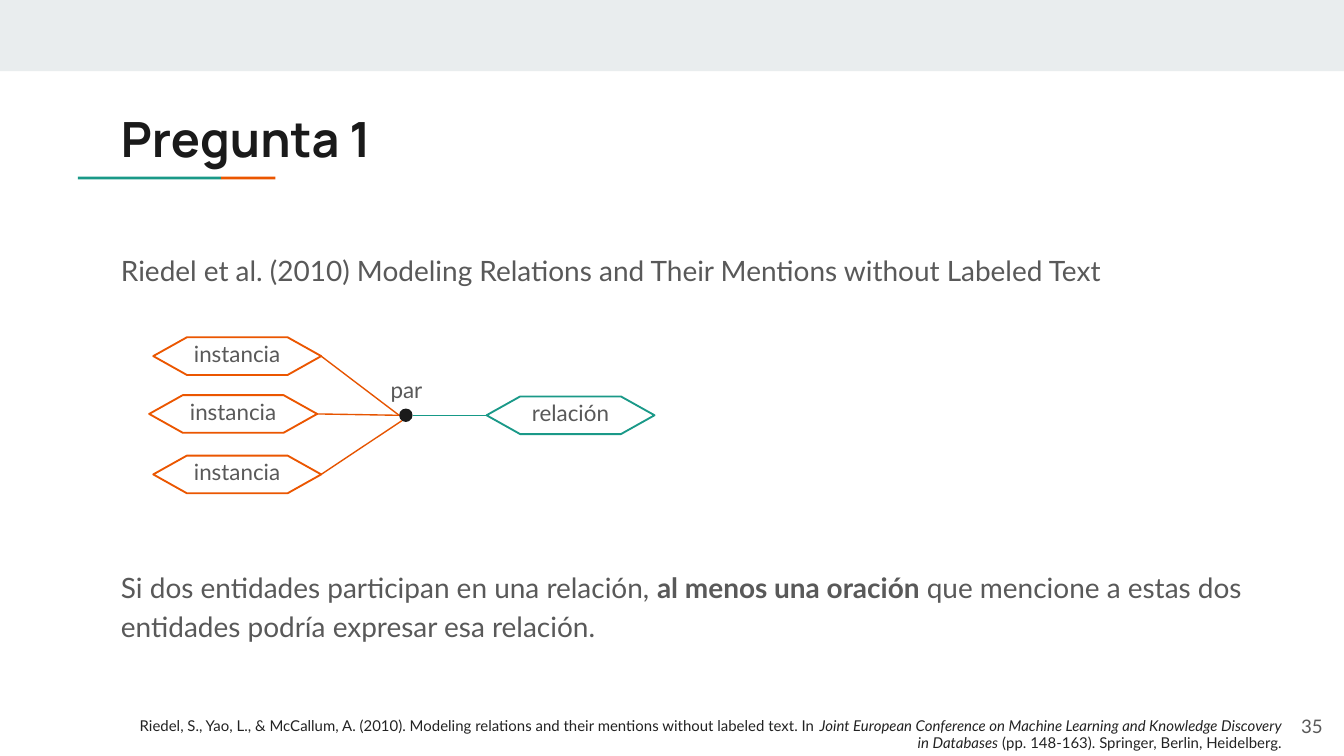
from lxml import etree
from pptx import Presentation
from pptx.dml.color import RGBColor
from pptx.enum.shapes import MSO_CONNECTOR, MSO_SHAPE
from pptx.enum.text import MSO_ANCHOR, MSO_AUTO_SIZE, PP_ALIGN
from pptx.oxml.ns import qn
from pptx.util import Pt

RECTANGLE, HEXAGON, CIRCLE = MSO_SHAPE.RECTANGLE, MSO_SHAPE.FLOWCHART_PREPARATION, MSO_SHAPE.FLOWCHART_CONNECTOR
STRAIGHT = MSO_CONNECTOR.STRAIGHT
LEFT, CENTER, RIGHT = PP_ALIGN.LEFT, PP_ALIGN.CENTER, PP_ALIGN.RIGHT
TOP, MIDDLE = MSO_ANCHOR.TOP, MSO_ANCHOR.MIDDLE
NO_AUTOFIT = MSO_AUTO_SIZE.NONE

COLORS = {
    "band": "E9EDEE", "orange": "EB5600", "teal": "1A9988", "ink": "1A1A1A",
    "gray": "595959", "citation": "222222", "orange_link": "E65400", "teal_link": "169987",
}

TITLE = [[("Pregunta 1", "b")]]
BODY = [
    [("Riedel et al. (2010) Modeling Relations and Their Mentions without Labeled Text", "")],
    [("Si dos entidades participan en una relación, ", ""),
     ("al menos una oración ", "b"),
     ("que mencione a estas dos entidades podría expresar esa relación.", "")],
]
CITATION = [[
    ("Riedel, S., Yao, L., & McCallum, A. (2010). Modeling relations and their mentions without labeled text. In ", ""),
    ("Joint European Conference on Machine Learning and Knowledge Discovery in Databases", "i"),
    (" (pp. 148-163). Springer, Berlin, Heidelberg.", ""),
]]
PAGE = [[("35", "")]]

BARS = [("band", 0, 0, 720, 38.16), ("teal", 41.8, 94.6, 76.7, 1.6), ("orange", 118.5, 94.6, 29, 1.6)]
INSTANCES = [  # name, left, top, link end
    ("instancia", 82.08, 180.72, (213.84, 222.5)),
    ("instancia", 79.92, 211.68, (213.84, 222.5)),
    ("instancia", 82.08, 244.08, (215.3, 225.4)),
]
RELATION = ("relación", 260.64, 212.4)
PAIR = ("par", 186.5, 198)
DOT = (213.84, 218.88, 7.2, 7.2)
NODE_W, NODE_H = 90, 20.16
LABEL_W, LABEL_H = 62.64, 21.6


def color(name):
    return RGBColor.from_string(COLORS[name])


def write(box, paragraphs, size, tint="gray", font="Lato", align=LEFT, anchor=TOP,
          inset=7.2, spacing=None, gap=0):
    frame = box.text_frame
    frame.word_wrap, frame.auto_size, frame.vertical_anchor = True, NO_AUTOFIT, anchor
    frame.margin_left = frame.margin_right = Pt(7.2)
    frame.margin_top = frame.margin_bottom = Pt(inset)
    for index, runs in enumerate(paragraphs):
        paragraph = frame.add_paragraph() if index else frame.paragraphs[0]
        properties = paragraph._p.get_or_add_pPr()
        properties.set("marL", "0")
        properties.set("indent", "0")
        etree.SubElement(properties, qn("a:buNone"))
        paragraph.alignment = align
        paragraph.line_spacing = spacing
        paragraph.space_before = Pt(gap if index else 0)
        for text, style in runs:
            run = paragraph.add_run()
            run.text = text
            run.font.name, run.font.size = font, Pt(size)
            run.font.bold, run.font.italic = "b" in style, "i" in style
            run.font.color.rgb = color(tint)


def place(box, *bounds):
    box.left, box.top, box.width, box.height = map(Pt, bounds)
    return box


def add_text(slide, bounds, paragraphs, size, **style):
    write(slide.shapes.add_textbox(*map(Pt, bounds)), paragraphs, size, **style)


def add_outline(slide, preset, bounds, fill=None, line=None):
    shape = slide.shapes.add_shape(preset, *map(Pt, bounds))
    shape.shadow.inherit = False
    if fill:
        shape.fill.solid()
        shape.fill.fore_color.rgb = color(fill)
    else:
        shape.fill.background()
    if line:
        shape.line.color.rgb = color(line)
        shape.line.width = Pt(1)
    else:
        shape.line.fill.background()
    return shape


def add_label(slide, name, left, top):
    add_text(slide, (left, top, LABEL_W, LABEL_H), [[(name, "")]], 12, align=CENTER, inset=3.6)


def add_node(slide, name, left, top, tint):
    node = add_outline(slide, HEXAGON, (left, top, NODE_W, NODE_H), line=tint)
    add_label(slide, name, left + (NODE_W - LABEL_W) / 2, top - 2.16)
    return node


def add_link(slide, start, end, tint):
    link = slide.shapes.add_connector(STRAIGHT, *map(Pt, start + end))
    link.line.color.rgb = color(tint)
    link.line.width = Pt(0.75)
    etree.SubElement(link._element.spPr, qn("a:effectLst"))
    return link


def main():
    """Build the slide about relations and their mentions."""
    deck = Presentation()
    deck.slide_width, deck.slide_height = Pt(720), Pt(405)
    slide = deck.slides.add_slide(deck.slide_layouts[1])
    title, body = slide.placeholders
    write(place(title, 57.6, 51.12, 605.5, 42.48), TITLE, 26, tint="ink", font="Manrope")
    write(place(body, 57.6, 126, 625, 272.9), BODY, 15, spacing=1.15, gap=149)

    for tint, *bounds in BARS:
        add_outline(slide, RECTANGLE, bounds, fill=tint)

    add_outline(slide, CIRCLE, DOT, fill="ink")
    for name, left, top, link_end in INSTANCES:
        instance = add_node(slide, name, left, top, "orange")
        start = (left + NODE_W, top + NODE_H / 2)
        add_link(slide, start, link_end, "orange_link").begin_connect(instance, 3)
    relation = add_node(slide, *RELATION, "teal")
    dot_right = (DOT[0] + DOT[2], DOT[1] + DOT[3] / 2)
    relation_left = (RELATION[1], RELATION[2] + NODE_H / 2)
    add_link(slide, dot_right, relation_left, "teal_link").end_connect(relation, 1)
    add_label(slide, *PAIR)

    add_text(slide, (672.5, 373.7, 43.2, 31), PAGE, 10, align=RIGHT, anchor=MIDDLE)
    add_text(slide, (61.2, 380.16, 632.9, 26.64), CITATION, 8, tint="citation", align=RIGHT, inset=3.6)
    deck.save("out.pptx")


if __name__ == "__main__":
    main()
